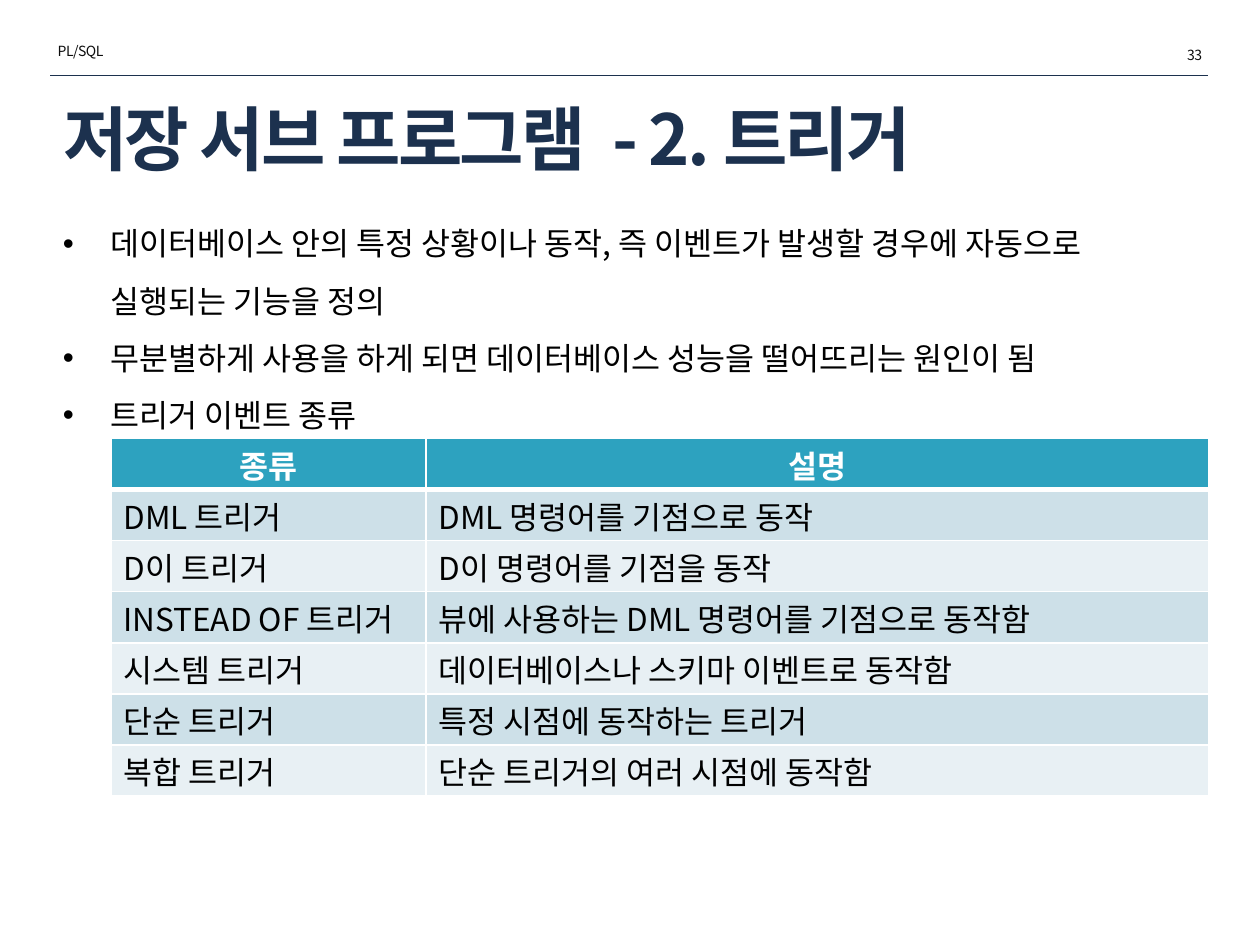
from lxml import etree
from pptx import Presentation
from pptx.dml.color import RGBColor
from pptx.enum import shapes, text
from pptx.oxml.ns import qn
from pptx.util import Inches, Pt

FONT = "Noto Sans CJK KR"
NAVY = RGBColor(0x1C, 0x31, 0x4E)
INK = RGBColor(0x0D, 0x0D, 0x0D)
BLACK = RGBColor(0, 0, 0)
WHITE = RGBColor(0xFF, 0xFF, 0xFF)
TEAL = RGBColor(0x2D, 0xA2, 0xBF)
BANDS = [RGBColor(0xE8, 0xF0, 0xF4), RGBColor(0xCD, 0xE0, 0xE8)]


def style(p, size, color, bold=False, spacing=None):
    for r in p.runs:
        r.font.size, r.font.bold = Pt(size), bold
        r.font.color.rgb = color
        r.font.name = FONT
        rPr = r.font._element
        etree.SubElement(rPr, qn("a:ea"), typeface=FONT)
        if spacing is not None:
            rPr.set("spc", str(int(spacing * 100)))


def border(tcPr, side, width):
    ln = etree.SubElement(tcPr, qn("a:ln" + side), w=str(Pt(width)))
    fill = etree.SubElement(ln, qn("a:solidFill"))
    etree.SubElement(fill, qn("a:srgbClr"), val=str(WHITE))


prs = Presentation()
prs.slide_width, prs.slide_height = Inches(10), Inches(7.5)
s = prs.slides.add_slide(prs.slide_layouts[5])

for left, top, label, align in [
    (0.36, 0.29, "PL/SQL", text.PP_ALIGN.LEFT),
    (7.93, 0.32, "33 ", text.PP_ALIGN.RIGHT),
]:
    tf = s.shapes.add_textbox(Inches(left), Inches(top), Inches(1.73), Inches(0.24)).text_frame
    tf.word_wrap = True
    tf.text = label
    tf.paragraphs[0].alignment = align
    style(tf.paragraphs[0], 8, INK, spacing=-0.3)

line = s.shapes.add_connector(
    shapes.MSO_CONNECTOR.STRAIGHT, Inches(0.4), Inches(0.6), Inches(9.59), Inches(0.6))
line.line.color.rgb = NAVY
line.line.width = Pt(0.25)
etree.SubElement(line._element.spPr, qn("a:effectLst"))

title = s.shapes.title
title.left, title.top, title.width, title.height = Inches(0.4), Inches(0.77), Inches(9.19), Inches(0.64)
tf = title.text_frame
tf.text = "저장 서브 프로그램  - 2. 트리거"
tf.auto_size = text.MSO_AUTO_SIZE.NONE
tf.vertical_anchor = text.MSO_ANCHOR.MIDDLE
tf.paragraphs[0].alignment = text.PP_ALIGN.LEFT
style(tf.paragraphs[0], 40, NAVY, bold=True, spacing=-1.5)

points = [
    "데이터베이스 안의 특정 상황이나 동작, 즉 이벤트가 발생할 경우에 자동으로 실행되는 기능을 정의",
    "무분별하게 사용을 하게 되면 데이터베이스 성능을 떨어뜨리는 원인이 됨",
    "트리거 이벤트 종류",
]
tf = s.shapes.add_textbox(Inches(0.4), Inches(1.58), Inches(9.19), Inches(1.87)).text_frame
tf.word_wrap = True
for i, point in enumerate(points):
    p = tf.paragraphs[0] if i == 0 else tf.add_paragraph()
    p.text = point
    p.line_spacing = Pt(32.6)
    pPr = p._p.get_or_add_pPr()
    pPr.set("marL", str(Inches(0.38)))
    pPr.set("indent", str(-Inches(0.38)))
    etree.SubElement(pPr, qn("a:buFont"), typeface="Arial")
    etree.SubElement(pPr, qn("a:buChar"), char="•")
    style(p, 18, BLACK)

rows = [
    ("종류", "설명"),
    ("DML 트리거", "DML 명령어를 기점으로 동작"),
    ("D이 트리거", "D이 명령어를 기점을 동작"),
    ("INSTEAD OF 트리거", "뷰에 사용하는 DML 명령어를 기점으로 동작함"),
    ("시스템 트리거", "데이터베이스나 스키마 이벤트로 동작함"),
    ("단순 트리거", "특정 시점에 동작하는 트리거"),
    ("복합 트리거", "단순 트리거의 여러 시점에 동작함"),
]
table = s.shapes.add_table(
    len(rows), 2, Inches(0.88), Inches(3.48), Inches(8.71), Inches(2.84)).table
table.columns[0].width, table.columns[1].width = Inches(2.5), Inches(6.21)
for i, row in enumerate(rows):
    header = i == 0
    for j, value in enumerate(row):
        cell = table.cell(i, j)
        cell.text = value
        cell.margin_top, cell.margin_bottom = Inches(0.08), Inches(0.02)
        tcPr = cell._tc.get_or_add_tcPr()
        for side, width in [("L", 1), ("R", 1), ("T", 3 if i == 1 else 1), ("B", 3 if header else 1)]:
            border(tcPr, side, width)
        cell.fill.solid()
        cell.fill.fore_color.rgb = TEAL if header else BANDS[i % 2]
        p = cell.text_frame.paragraphs[0]
        p.line_spacing = Pt(22)
        p.alignment = text.PP_ALIGN.CENTER if header else text.PP_ALIGN.LEFT
        style(p, 18, WHITE if header else BLACK, bold=header)

prs.save("out.pptx")
